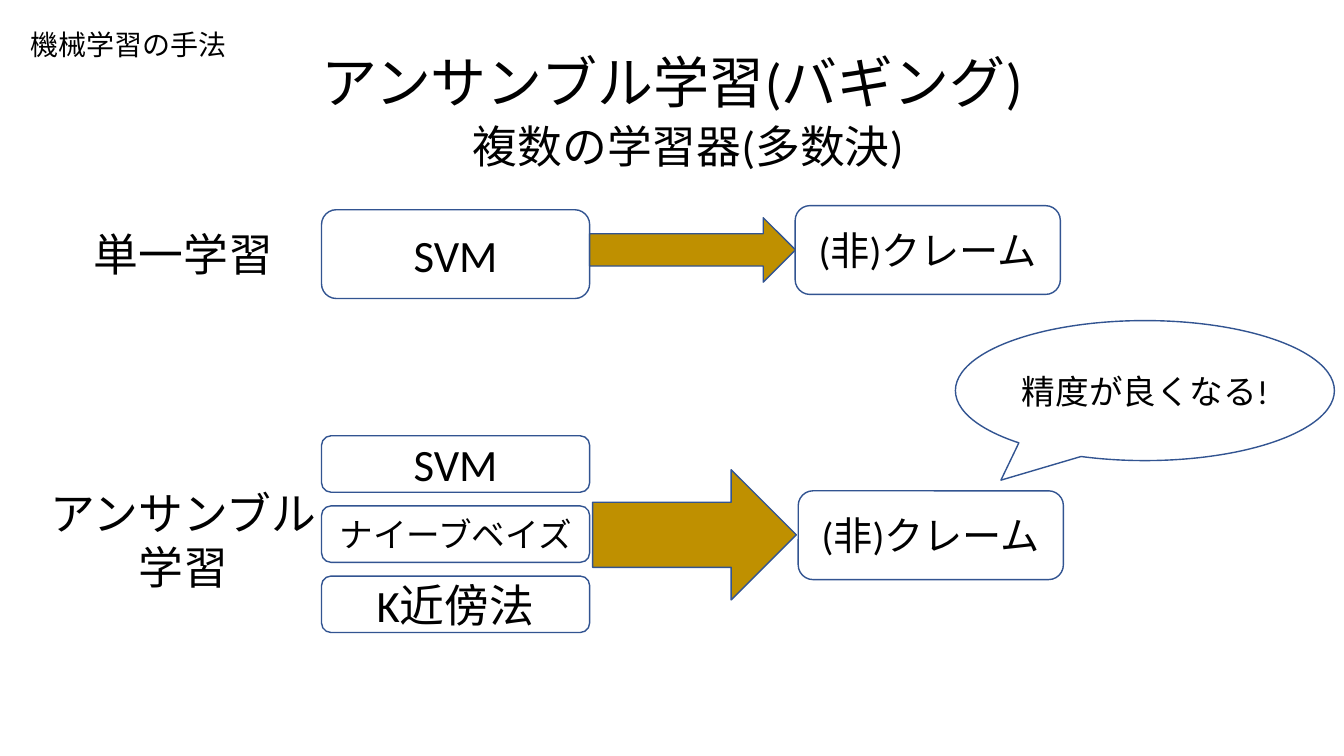
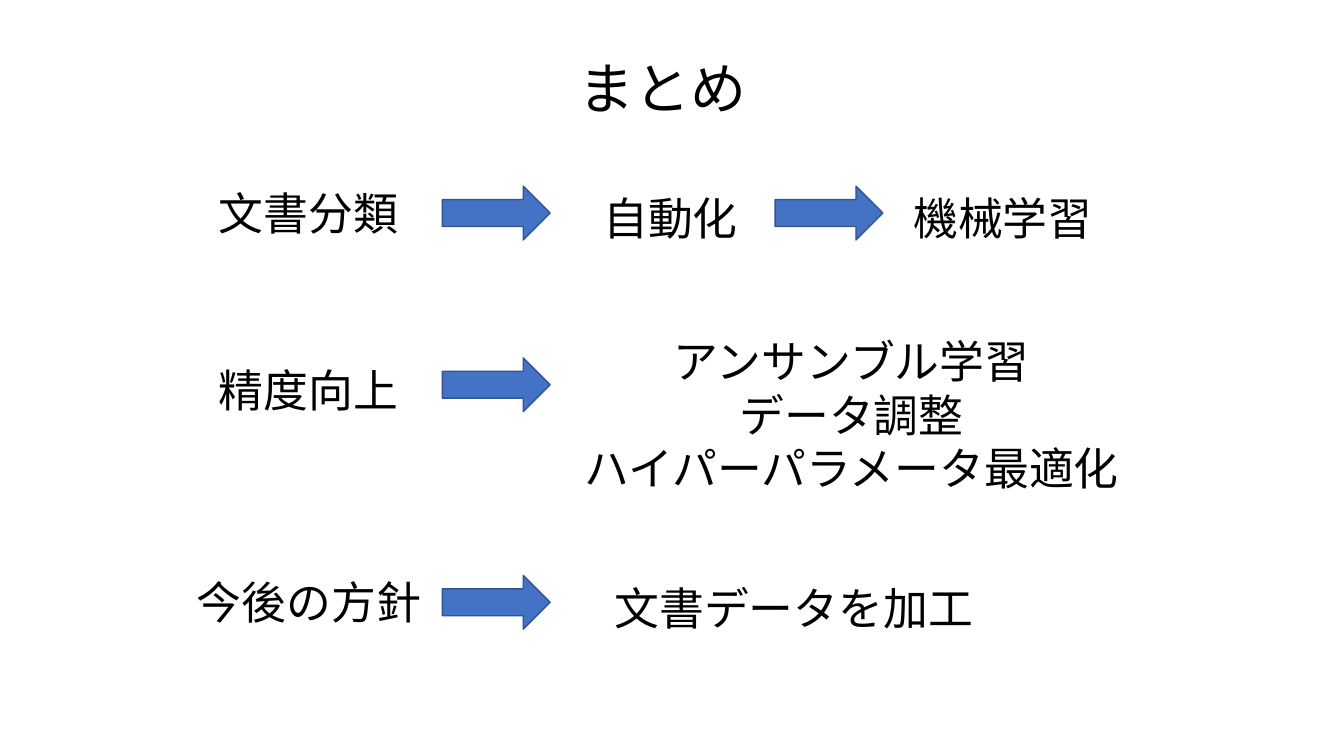
from dataclasses import dataclass

from pptx import Presentation
from pptx.dml.color import RGBColor
from pptx.enum import shapes, text
from pptx.util import Pt

LEFT, CENTER = text.PP_ALIGN.LEFT, text.PP_ALIGN.CENTER
TITLE_ONLY = 5


@dataclass(frozen=True)
class Theme:
    font: str = "Calibri"
    ink: str = "000000"
    white: str = "FFFFFF"
    outline: str = "325491"
    gold: str = "BF9000"
    blue: str = "4472C4"
    title: int = 40
    body: int = 32
    result: int = 28
    small: int = 24
    topic: int = 20
    line: float = 1


THEME = Theme()


# Text
def write(shape, lines, size, align=CENTER, anchor=text.MSO_ANCHOR.TOP):
    """Fill a shape with one paragraph per line."""
    frame = shape.text_frame
    frame.word_wrap = True
    frame.auto_size = text.MSO_AUTO_SIZE.NONE
    frame.vertical_anchor = anchor
    for index, line in enumerate(lines):
        paragraph = frame.add_paragraph() if index else frame.paragraphs[0]
        paragraph.alignment = align
        run = paragraph.add_run()
        run.text = line
        run.font.name = THEME.font
        run.font.size = Pt(size)
        run.font.color.rgb = RGBColor.from_string(THEME.ink)


def add_label(slide, place, *lines, size=THEME.body, align=CENTER):
    label = slide.shapes.add_textbox(*map(Pt, place))
    write(label, lines, size, align)


def add_titled_slide(presentation, title, place, align=CENTER):
    slide = presentation.slides.add_slide(presentation.slide_layouts[TITLE_ONLY])
    heading = slide.shapes.title
    heading.left, heading.top, heading.width, heading.height = map(Pt, place)
    write(heading, [title], THEME.title, align)
    return slide


# Outlined shapes
def add_outlined(slide, kind, place, fill=None):
    shape = slide.shapes.add_shape(kind, *map(Pt, place))
    shape.shadow.inherit = False
    if fill:
        shape.fill.solid()
        shape.fill.fore_color.rgb = RGBColor.from_string(fill)
    else:
        shape.fill.background()
    shape.line.color.rgb = RGBColor.from_string(THEME.outline)
    shape.line.width = Pt(THEME.line)
    return shape


def add_box(slide, place, caption, size=THEME.body):
    kind = shapes.MSO_SHAPE.FLOWCHART_ALTERNATE_PROCESS
    box = add_outlined(slide, kind, place, THEME.white)
    write(box, [caption], size, anchor=text.MSO_ANCHOR.MIDDLE)


def add_arrow(slide, place, fill):
    add_outlined(slide, shapes.MSO_SHAPE.RIGHT_ARROW, place, fill)


def add_callout(slide, place, caption, tip):
    callout = add_outlined(slide, shapes.MSO_SHAPE.OVAL_CALLOUT, place)
    for index, offset in enumerate(tip):
        callout.adjustments[index] = offset
    write(callout, [caption], THEME.small, anchor=text.MSO_ANCHOR.MIDDLE)


# Slides
def build_ensemble(presentation):
    slide = add_titled_slide(
        presentation, "アンサンブル学習(バギング)", (133, 30, 694, 55))
    add_label(slide, (225.5, 81.5, 532, 46), "複数の学習器(多数決)")
    add_label(slide, (14.4, 16, 159, 32), "機械学習の手法",
              size=THEME.topic, align=LEFT)

    # Single learner
    learner_left, learner_width = 229.7, 191.5
    add_label(slide, (60, 158.5, 146, 46), "単一学習", align=LEFT)
    add_box(slide, (learner_left, 149.8, learner_width, 63.4), "SVM")
    add_arrow(slide, (421.2, 155.5, 147, 46), THEME.gold)

    # Ensemble of learners
    add_label(slide, (27.4, 343.5, 207.4, 85), "アンサンブル学習")
    learners = [("SVM", THEME.body), ("ナイーブベイズ", THEME.small),
                ("K近傍法", THEME.body)]
    for index, (name, size) in enumerate(learners):
        top = 311.3 + 50.1 * index
        add_box(slide, (learner_left, top, learner_width, 40.3), name, size)
    add_arrow(slide, (423.3, 335.5, 145.5, 93), THEME.gold)

    # Results
    for left, top in [(568, 146.9), (570.2, 350.6)]:
        add_box(slide, (left, top, 189.4, 63.4), "(非)クレーム", THEME.result)
    add_callout(slide, (682.5, 229, 270.7, 100), "精度が良くなる!",
                tip=(-0.38, 0.64))


def build_summary(presentation):
    slide = add_titled_slide(presentation, "まとめ", (406, 34.6, 147, 55), LEFT)

    labels = [
        ((145.4, 129, 150, 46), ["文書分類"]),
        ((404, 133, 150, 46), ["自動化"]),
        ((641.5, 133, 150, 46), ["機械学習"]),
        ((145.4, 255.6, 150, 46), ["精度向上"]),
        ((403.2, 234.7, 410.4, 124),
         ["アンサンブル学習", "データ調整", "ハイパーパラメータ最適化"]),
        ((128.2, 406.8, 185, 46), ["今後の方針"]),
        ((421.2, 411, 291.6, 46), ["文書データを加工"]),
    ]
    for place, lines in labels:
        add_label(slide, place, *lines)

    first, second = 316, 553.7
    for left, top in [(first, 133), (second, 133), (first, 255.6), (first, 411)]:
        add_arrow(slide, (left, top, 77, 38.4), THEME.blue)


def main():
    presentation = Presentation()
    presentation.slide_width, presentation.slide_height = Pt(960), Pt(540)
    build_ensemble(presentation)
    build_summary(presentation)
    presentation.save("out.pptx")


if __name__ == "__main__":
    main()
